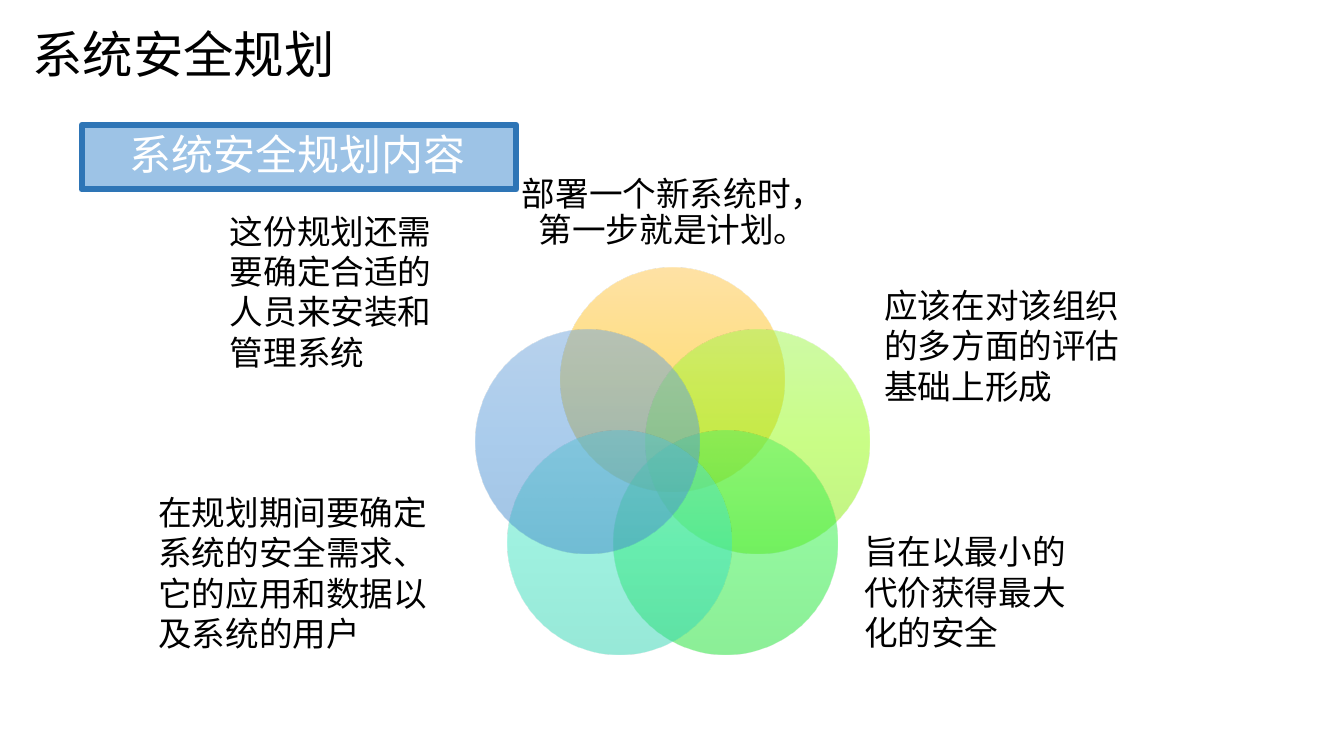
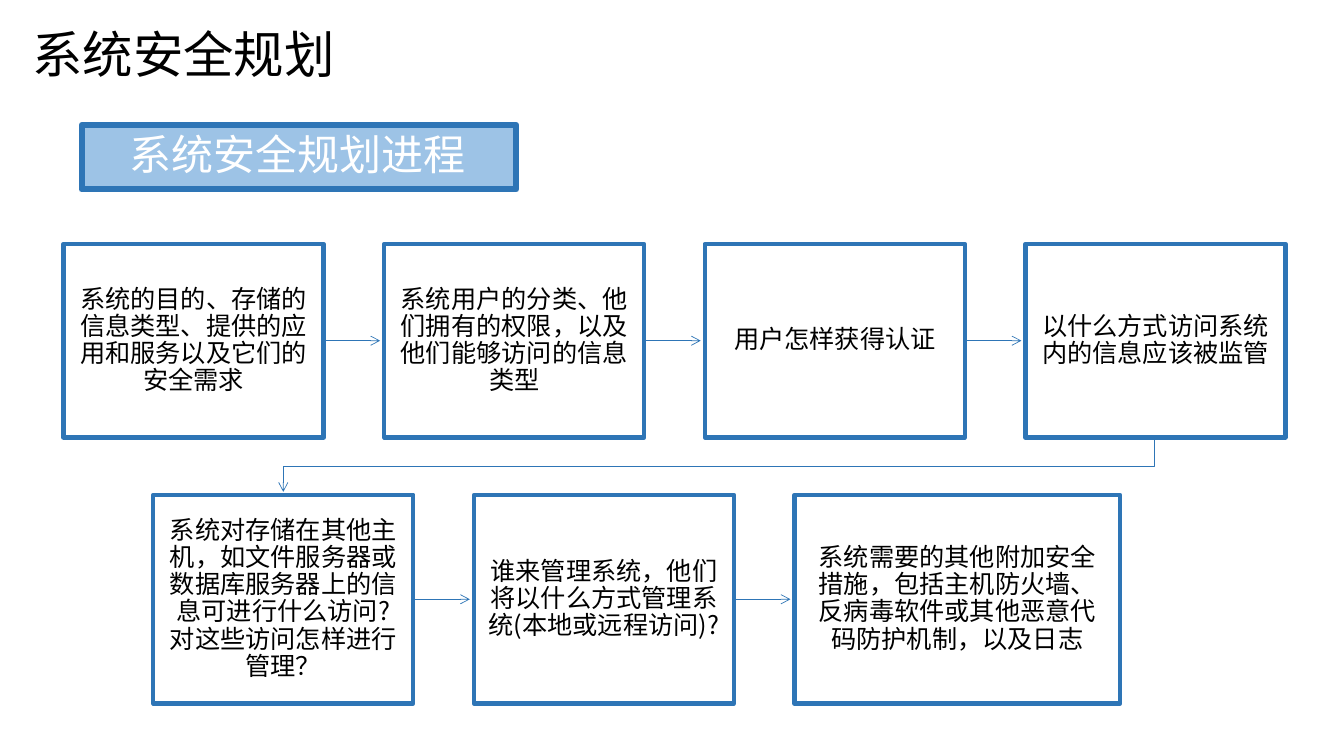
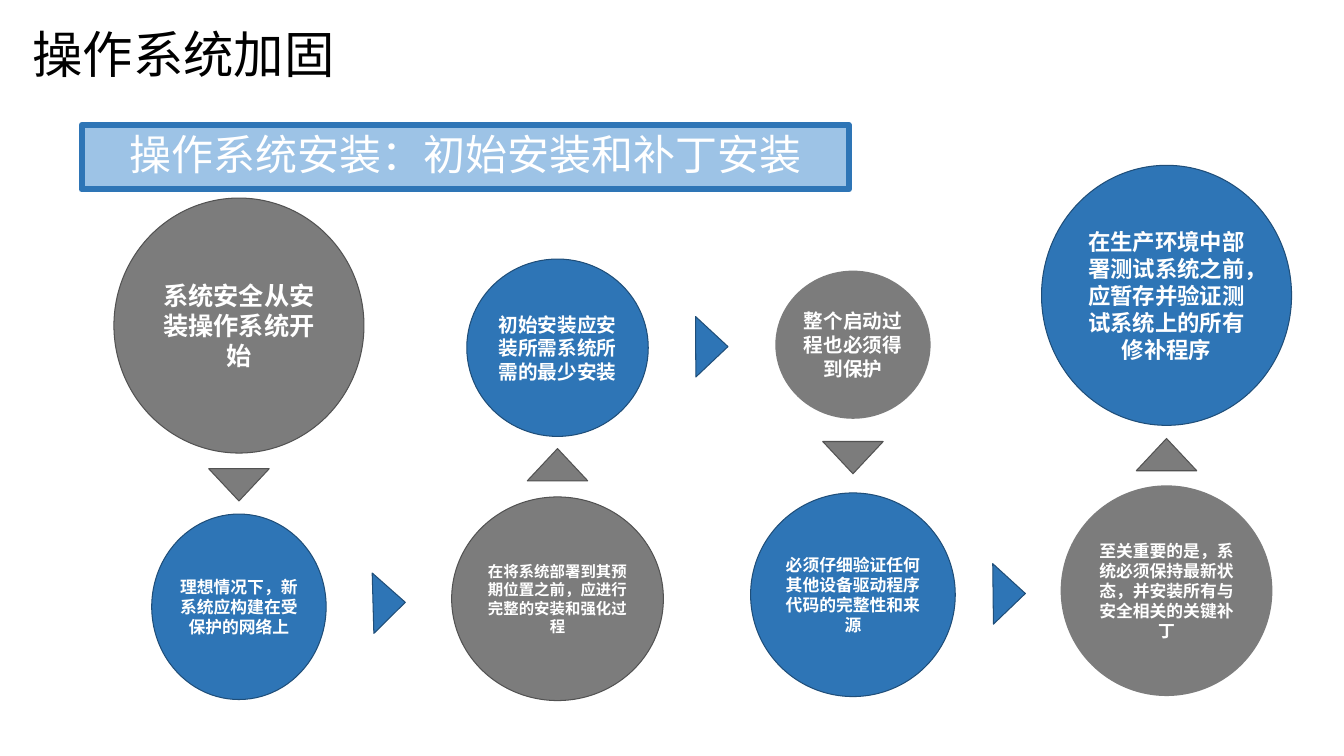
import math
from dataclasses import dataclass

import lxml.etree
import pptx
import pptx.dml.color
import pptx.enum.shapes
import pptx.enum.text
import pptx.oxml.ns
import pptx.util

Inches = pptx.util.Inches
Pt = pptx.util.Pt
Kind = pptx.enum.shapes.MSO_SHAPE
Align = pptx.enum.text.PP_ALIGN
qn = pptx.oxml.ns.qn


@dataclass(frozen=True)
class Theme:
    font: str = "Noto Sans CJK SC"
    black: str = "000000"
    white: str = "FFFFFF"
    blue: str = "2E75B6"
    navy: str = "1F4E79"
    pale: str = "9DC3E6"
    gray: str = "7C7C7C"
    dark: str = "525252"
    title: int = 36
    band: int = 30
    note: int = 24
    step: int = 18
    tight: float = 0.9


THEME = Theme()

RINGS = [
    ("FFC64B", "FFC000", "E3AB00"),
    ("A0F74E", "96FE0E", "85E509"),
    ("56EC62", "27F13E", "18E02F"),
    ("63E3C6", "3FE5C3", "2FD4B2"),
    ("71A6DB", "559BDB", "448ACA"),
]
NOTES = [
    ((8.77, 2.4, 2.34, 2.05), "应该在对该组织的多方面的评估基础上形成"),
    ((8.57, 5.05, 2.31, 1.64), "旨在以最小的代价获得最大化的安全"),
    ((1.57, 4.44, 2.99, 2.48), "在规划期间要确定系统的安全需求、它的应用和数据以及系统的用户"),
    ((2.28, 2.05, 2.3, 1.68), "这份规划还需要确定合适的人员来安装和管理系统"),
]
UPPER = [
    "系统的目的、存储的信息类型、提供的应用和服务以及它们的安全需求",
    "系统用户的分类、他们拥有的权限，以及他们能够访问的信息类型",
    "用户怎样获得认证",
    "以什么方式访问系统内的信息应该被监管",
]
LOWER = [
    "系统对存储在其他主机，如文件服务器或数据库服务器上的信息可进行什么访问?对这些访问怎样进行管理？",
    "谁来管理系统，他们将以什么方式管理系统(本地或远程访问)?",
    "系统需要的其他附加安全措施，包括主机防火墙、反病毒软件或其他恶意代码防护机制，以及日志",
]
# Centre, width, height, fill, edge, type size, text
BALLS = [
    (2.37, 3.23, 2.48, 2.53, THEME.gray, THEME.dark, 18, "系统安全从安装操作系统开始"),
    (2.37, 6.02, 1.73, 1.84, THEME.blue, THEME.navy, 12, "理想情况下，新系统应构建在受保护的网络上"),
    (5.53, 5.94, 2.1, 2.02, THEME.gray, THEME.dark, 11, "在将系统部署到其预期位置之前，应进行完整的安装和强化过程"),
    (5.53, 3.45, 1.8, 1.76, THEME.blue, THEME.navy, 14, "初始安装应安装所需系统所需的最少安装"),
    (8.46, 3.42, 1.54, 1.47, THEME.gray, None, 14, "整个启动过程也必须得到保护"),
    (8.46, 5.9, 2.03, 2.02, THEME.blue, THEME.navy, 12, "必须仔细验证任何其他设备驱动程序代码的完整性和来源"),
    (11.57, 5.86, 2.1, 2.09, THEME.gray, None, 12, "至关重要的是，系统必须保持最新状态，并安装所有与安全相关的关键补丁"),
    (11.57, 2.93, 2.48, 2.58, THEME.blue, THEME.navy, 16, "在生产环境中部署测试系统之前，应暂存并验证测试系统上的所有修补程序"),
]
# Centre, turn in degrees, fill, edge
WEDGES = [
    (2.37, 4.81, 180, THEME.gray, THEME.dark),
    (3.86, 5.98, 88.4, THEME.blue, THEME.navy),
    (5.53, 4.61, 0, THEME.gray, THEME.dark),
    (7.06, 3.44, 89.7, THEME.blue, THEME.navy),
    (8.46, 4.54, 180, THEME.gray, THEME.dark),
    (10.01, 5.89, 89.3, THEME.blue, THEME.navy),
    (11.57, 4.51, 0, THEME.gray, THEME.dark),
]


def rgb(code):
    return pptx.dml.color.RGBColor.from_string(code)


def write(shape, text, size, color, align=Align.LEFT, inset=(0, 0), ls=1.0, bold=False):
    """Fill a shape with one paragraph; inset is (sides, top and bottom)."""
    frame = shape.text_frame
    frame.text = text
    frame.word_wrap = True
    frame.vertical_anchor = pptx.enum.text.MSO_ANCHOR.MIDDLE
    frame.margin_left = frame.margin_right = Inches(inset[0])
    frame.margin_top = frame.margin_bottom = Inches(inset[1])
    para = frame.paragraphs[0]
    para.alignment = align
    para.line_spacing = ls
    for run in para.runs:
        run.font.size = Pt(size)
        run.font.bold = bold
        run.font.color.rgb = rgb(color)
        run.font.name = THEME.font
        east = lxml.etree.SubElement(run.font._element, qn("a:ea"))
        east.set("typeface", THEME.font)


def label(slide, box, text, size, **style):
    shape = slide.shapes.add_textbox(*map(Inches, box))
    write(shape, text, size, THEME.black, **style)


def paint(shape, fill=None, edge=None, width=0.75):
    shape.shadow.inherit = False
    if fill:
        shape.fill.solid()
        shape.fill.fore_color.rgb = rgb(fill)
    else:
        shape.fill.background()
    if edge:
        shape.line.color.rgb = rgb(edge)
        shape.line.width = Pt(width)
    else:
        shape.line.fill.background()


def block(slide, kind, box, fill=None, edge=None, width=0.75):
    shape = slide.shapes.add_shape(kind, *map(Inches, box))
    paint(shape, fill, edge, width)
    return shape


def middle(x, y, wide, high):
    """Turn a centre and a size into a box."""
    return x - wide / 2, y - high / 2, wide, high


def glaze(shape, colors):
    """Fill with a half-clear gradient from top to bottom."""
    shape.fill.gradient()
    shape.fill.gradient_angle = 270
    stops = shape._element.spPr.find(qn("a:gradFill")).find(qn("a:gsLst"))
    for stop in list(stops):
        stops.remove(stop)
    for place, color in zip((0, 50000, 100000), colors):
        stop = lxml.etree.SubElement(stops, qn("a:gs"), pos=str(place))
        tint = lxml.etree.SubElement(stop, qn("a:srgbClr"), val=color)
        lxml.etree.SubElement(tint, qn("a:alpha"), val="50000")


def tip(line):
    """Put an open arrowhead at the end of a line."""
    lxml.etree.SubElement(line._get_or_add_ln(), qn("a:tailEnd"), type="arrow")


def arrow(slide, x, y, long):
    link = slide.shapes.add_connector(
        pptx.enum.shapes.MSO_CONNECTOR.STRAIGHT,
        *map(Inches, (x, y, x + long, y)))
    link.line.color.rgb = rgb(THEME.blue)
    link.line.width = Pt(0.5)
    tip(link.line)
    lxml.etree.SubElement(link._element.spPr, qn("a:effectLst"))


def bend(slide, points):
    start, *rest = [tuple(map(Inches, point)) for point in points]
    maker = slide.shapes.build_freeform(*start)
    maker.add_line_segments(rest, close=False)
    shape = maker.convert_to_shape()
    paint(shape, edge=THEME.blue, width=0.5)
    tip(shape.line)


def page(deck, title, band, wide):
    slide = deck.slides.add_slide(deck.slide_layouts[6])
    label(slide, (0.21, 0, 5.91, 1.06), title, THEME.title, inset=(0.11, 0.06))
    bar = block(slide, Kind.RECTANGLE, (0.81, 1.24, wide, 0.64),
                THEME.pale, THEME.blue, 4.33)
    write(bar, band, THEME.band, THEME.white, inset=(0.47, 0), ls=THEME.tight)
    return slide


def plan(deck):
    slide = page(deck, "系统安全规划", "系统安全规划内容", 4.31)
    reach, size = 0.89, 2.22
    for i, colors in enumerate(RINGS):
        turn = math.tau * i / len(RINGS)
        x = 6.67 + reach * math.sin(turn)
        y = 4.66 - reach * math.cos(turn)
        glaze(block(slide, Kind.OVAL, middle(x, y, size, size)), colors)
    label(slide, (5.1, 1.37, 3.15, 1.49), "部署一个新系统时，第一步就是计划。",
          THEME.note, align=Align.CENTER, ls=THEME.tight)
    for box, text in NOTES:
        label(slide, box, text, THEME.note)


def row(slide, texts, left, top, high, last):
    """Draw a row of boxes joined by arrows; the last box has its own width."""
    wide, pitch = 2.58, 3.18
    for i, text in enumerate(texts):
        x = left + pitch * i
        final = i == len(texts) - 1
        box = block(slide, Kind.RECTANGLE, (x, top, last if final else wide, high),
                    edge=THEME.blue, width=3)
        write(box, text, THEME.step, THEME.black, Align.CENTER, (0.14, 0.14), THEME.tight)
        if not final:
            arrow(slide, x + wide, top + high / 2, 0.56)


def course(deck):
    slide = page(deck, "系统安全规划", "系统安全规划进程", 4.31)
    row(slide, UPPER, 0.63, 2.42, 1.92, 2.58)
    bend(slide, [(11.45, 4.34), (11.45, 4.63), (2.81, 4.63), (2.81, 4.88)])
    row(slide, LOWER, 1.52, 4.91, 2.07, 3.23)


def harden(deck):
    slide = page(deck, "操作系统加固", "操作系统安装：初始安装和补丁安装", 7.61)
    for x, y, wide, high, fill, edge, size, text in BALLS:
        ball = block(slide, Kind.OVAL, middle(x, y, wide, high), fill, edge)
        write(ball, text, size, THEME.white, Align.CENTER, (0.02, 0.02), bold=True)
    for x, y, turn, fill, edge in WEDGES:
        wedge = block(slide, Kind.ISOSCELES_TRIANGLE, middle(x, y, 0.6, 0.32), fill, edge)
        wedge.rotation = turn


def main():
    deck = pptx.Presentation()
    deck.slide_width = Inches(13.33)
    deck.slide_height = Inches(7.5)
    plan(deck)
    course(deck)
    harden(deck)
    deck.save("out.pptx")


if __name__ == "__main__":
    main()
